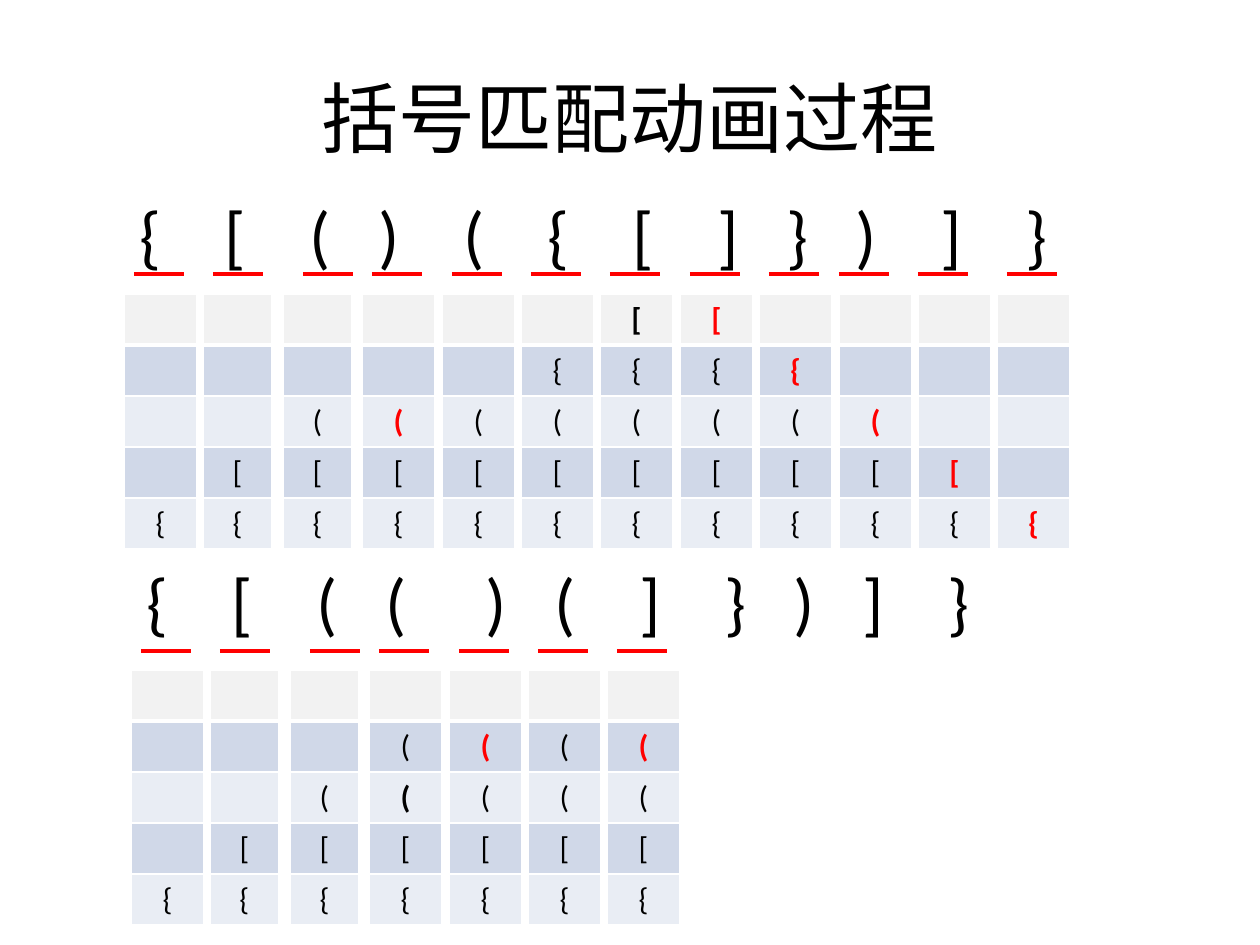
"""Build the bracket matching slide: two inputs, each with its stack after every step."""
from dataclasses import dataclass
from itertools import accumulate

from lxml import etree
from pptx import Presentation
from pptx.dml.color import RGBColor
from pptx.enum.shapes import MSO_CONNECTOR
from pptx.enum.text import MSO_ANCHOR, PP_ALIGN
from pptx.oxml.ns import qn
from pptx.slide import Slide
from pptx.table import _Cell
from pptx.text.text import _Paragraph
from pptx.util import Emu, Pt

STRAIGHT = MSO_CONNECTOR.STRAIGHT
MIDDLE = MSO_ANCHOR.MIDDLE
TOP = MSO_ANCHOR.TOP
CENTER = PP_ALIGN.CENTER
LEFT = PP_ALIGN.LEFT

EMU_PER_PX = 914400 / 126
FONT = "Calibri"
COLORS = {
    "text": "000000",
    "mark": "FF0000",
    "border": "FFFFFF",
    "header": "F2F2F2",
    "dark": "D0D8E8",
    "light": "E9EDF4",
}
ROW_FILLS = ["header", "dark", "light", "dark", "light"]
ROW_HEIGHT = 51
STACK_PITCH = 79.4
UNDERLINE_LENGTH = 50


@dataclass(frozen=True)
class Step:
    stack: str
    popped: bool = False
    bold_level: int = -1
    width: int = 73
    underline_shift: int = 10


@dataclass(frozen=True)
class Example:
    brackets: str
    gaps: list[int]
    text_left: int
    text_top: int
    text_width: int
    stacks_left: int
    stacks_top: int
    underline_top: int
    steps: list[Step]


FIRST_STEPS = [
    Step("{"),
    Step("{[", width=69),
    Step("{[(", width=69, underline_shift=20),
]
EXAMPLES = [
    Example(
        "{[()({[]})]}", [85, 85, 69, 85, 84, 85, 85, 69, 69, 85, 85],
        127, 185, 939, 124, 294, 274,
        FIRST_STEPS + [
            Step("{[(", popped=True),
            Step("{[("),
            Step("{[({"),
            Step("{[({[", bold_level=4),
            Step("{[({[", popped=True),
            Step("{[({", popped=True),
            Step("{[(", popped=True, underline_shift=0),
            Step("{[", popped=True, underline_shift=0),
            Step("{", popped=True),
        ],
    ),
    Example(
        "{[(()(]})]}", [85, 85, 69, 100, 69, 85, 85, 69, 69, 85],
        134, 552, 869, 131, 670, 651,
        FIRST_STEPS + [
            Step("{[((", bold_level=2),
            Step("{[((", popped=True),
            Step("{[(("),
            Step("{[((", popped=True),
        ],
    ),
]


def px(length: float) -> Emu:
    """Turn px into EMU."""
    return Emu(round(length * EMU_PER_PX))


def rgb(name: str) -> RGBColor:
    """Look up a named colour."""
    return RGBColor.from_string(COLORS[name])


def format_runs(paragraph: _Paragraph, size: int, color: str = "text", bold: bool = False) -> None:
    """Set the font of every run in a paragraph."""
    for run in paragraph.runs:
        run.font.name = FONT
        run.font.size = Pt(size)
        run.font.bold = bold
        run.font.color.rgb = rgb(color)


def add_text(slide: Slide, text: str, box: tuple[int, int, int, int], size: int,
             anchor: MSO_ANCHOR, alignment: PP_ALIGN) -> _Paragraph:
    """Add a one-paragraph text box and return its paragraph."""
    frame = slide.shapes.add_textbox(*map(px, box)).text_frame
    frame.word_wrap = True
    frame.vertical_anchor = anchor
    frame.text = text
    paragraph = frame.paragraphs[0]
    paragraph.alignment = alignment
    format_runs(paragraph, size)
    return paragraph


def add_tab_stops(paragraph: _Paragraph, gaps: list[int]) -> None:
    """Give a paragraph left tab stops separated by the gaps."""
    tabs = etree.SubElement(paragraph._p.get_or_add_pPr(), qn("a:tabLst"))
    for position in accumulate(gaps):
        etree.SubElement(tabs, qn("a:tab"), pos=str(px(position)), algn="l")


def add_borders(cell: _Cell, bottom_width: int) -> None:
    """Draw the four borders of a cell."""
    properties = cell._tc.get_or_add_tcPr()
    for side, width in {"L": 1, "R": 1, "T": 1, "B": bottom_width}.items():
        line = etree.SubElement(properties, qn(f"a:ln{side}"), w=str(Pt(width)))
        fill = etree.SubElement(line, qn("a:solidFill"))
        etree.SubElement(fill, qn("a:srgbClr"), val=COLORS["border"])


def add_stack(slide: Slide, step: Step, left: int, top: int) -> None:
    """Draw one stack as a one-column table, filled from the bottom."""
    rows = len(ROW_FILLS)
    table = slide.shapes.add_table(
        rows, 1, px(left), px(top), px(step.width), px(rows * ROW_HEIGHT)).table
    table.first_row = False
    table.horz_banding = False
    for row, fill in enumerate(ROW_FILLS):
        cell = table.cell(row, 0)
        add_borders(cell, 3 if row == 0 else 1)
        cell.fill.solid()
        cell.fill.fore_color.rgb = rgb(fill)
        cell.vertical_anchor = MIDDLE
        level = rows - 1 - row
        if level < len(step.stack):
            marked = step.popped and level == len(step.stack) - 1
            cell.text_frame.text = step.stack[level]
            paragraph = cell.text_frame.paragraphs[0]
            paragraph.alignment = CENTER
            format_runs(paragraph, 18, "mark" if marked else "text",
                        marked or level == step.bold_level)


def add_underline(slide: Slide, left: int, top: int) -> None:
    """Underline one bracket that has been read."""
    line = slide.shapes.add_connector(
        STRAIGHT, px(left), px(top), px(left + UNDERLINE_LENGTH), px(top))
    line.line.color.rgb = rgb("mark")
    line.line.width = Pt(2.25)
    etree.SubElement(line._element.spPr, qn("a:effectLst"))


def add_example(slide: Slide, example: Example) -> None:
    """Draw the bracket row, its underlines and its stacks."""
    paragraph = add_text(
        slide, "\t".join(example.brackets),
        (example.text_left, example.text_top, example.text_width, 97), 40, TOP, LEFT)
    add_tab_stops(paragraph, example.gaps)
    for index, step in enumerate(example.steps):
        left = example.stacks_left + round(index * STACK_PITCH)
        add_stack(slide, step, left, example.stacks_top)
        add_underline(slide, left + step.underline_shift, example.underline_top)


def main() -> None:
    """Build and save the presentation."""
    presentation = Presentation()
    presentation.slide_width = px(1260)
    presentation.slide_height = px(945)
    slide = presentation.slides.add_slide(presentation.slide_layouts[6])
    add_text(slide, "括号匹配动画过程", (63, 38, 1134, 158), 44, MIDDLE, CENTER)
    for example in EXAMPLES:
        add_example(slide, example)
    presentation.save("out.pptx")


if __name__ == "__main__":
    main()
